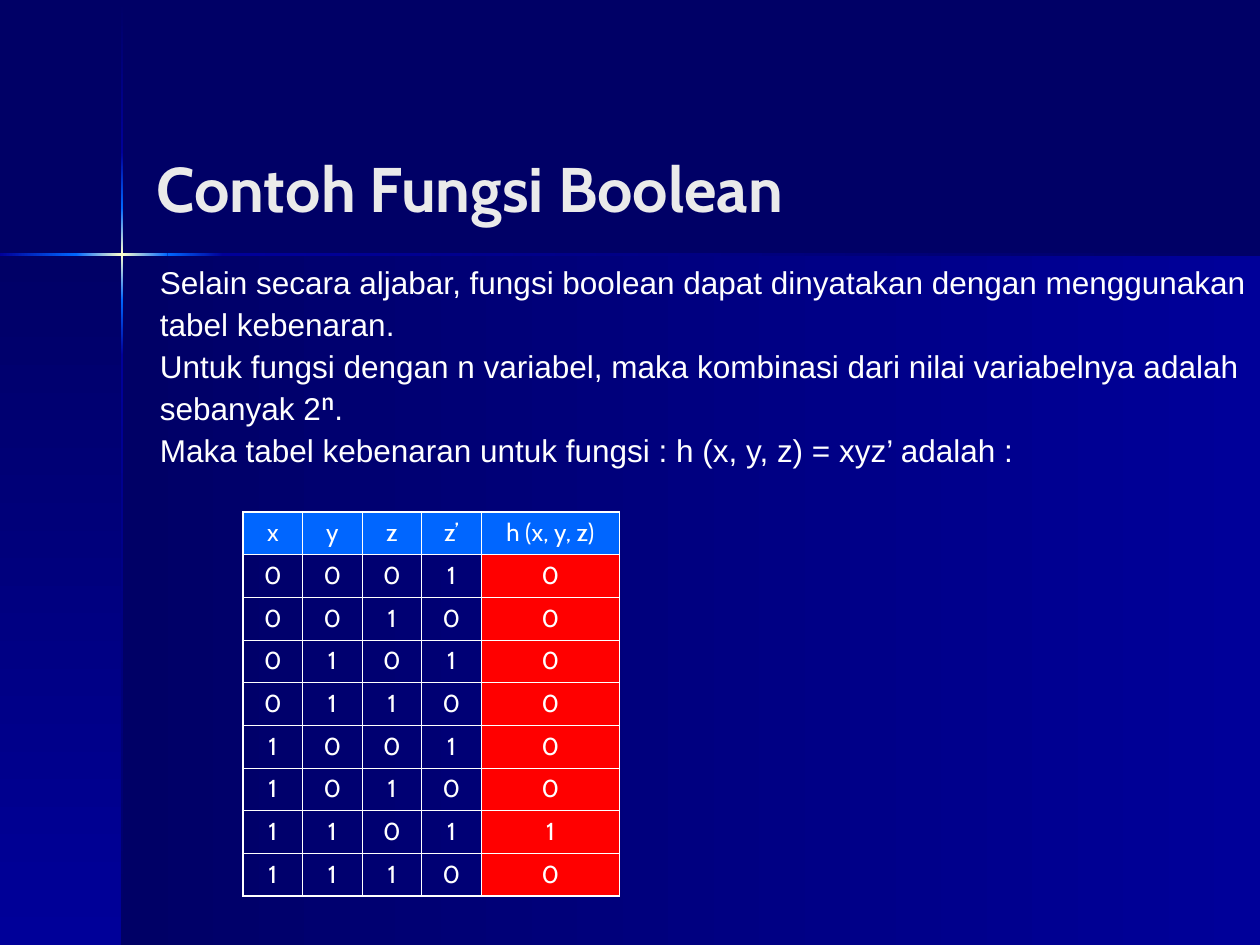
import itertools

import lxml.etree
import pptx
import pptx.dml.color
import pptx.enum.shapes
import pptx.enum.text
import pptx.oxml.ns
import pptx.util

Cm = pptx.util.Cm
Pt = pptx.util.Pt
RGBColor = pptx.dml.color.RGBColor
qn = pptx.oxml.ns.qn

NAVY = RGBColor(0x00, 0x00, 0x66)
BLUE = RGBColor(0x00, 0x00, 0x99)
BRIGHT = RGBColor(0x00, 0x66, 0xFF)
CREAM = RGBColor(0xFF, 0xFF, 0xCC)
RED = RGBColor(0xFF, 0x00, 0x00)
WHITE = RGBColor(0xFF, 0xFF, 0xFF)
LIGHT_GREY = RGBColor(0xEA, 0xEA, 0xEA)

RIGHTWARD, DOWNWARD = 0, 270
RAY_COLORS = [(NAVY, BLUE), (BLUE, BRIGHT), (BRIGHT, CREAM, BRIGHT),
              (BRIGHT, BLUE), (BLUE, NAVY)]
RAY_WIDTH = 0.05
VERTICAL_STOPS = [0.03, 3.07, 4.19, 6.05, 7.16, 19.05]
HORIZONTAL_STOPS = [0, 1.53, 3.38, 4.5, 25.4]

BODY_LINES = [
    ["Selain secara aljabar, fungsi boolean dapat dinyatakan dengan menggunakan"],
    ["tabel kebenaran."],
    ["Untuk fungsi dengan n variabel, maka kombinasi dari nilai variabelnya adalah"],
    ["sebanyak 2", "ⁿ", "."],
    ["Maka tabel kebenaran untuk fungsi : h (x, y, z) = xyz’ adalah :"],
]


def apply_format(target, values):
    for name, value in values.items():
        setattr(target, name, value)


class SlideBuilder:
    title_font = {"name": "Cabin", "size": Pt(36), "bold": True}
    body_font = {"name": "Arial", "size": Pt(18)}
    cell_font = {"name": "Cabin", "size": Pt(14)}
    thin, thick = Pt(0.45), Pt(1.08)

    def __init__(self, presentation):
        self.slide = presentation.slides.add_slide(presentation.slide_layouts[1])
        fill = self.slide.background.fill
        fill.solid()
        fill.fore_color.rgb = NAVY
        self.backdrop = self.slide.shapes.add_group_shape()
        # The backdrop lies behind the placeholders.
        self.slide.shapes._spTree.insert(2, self.backdrop._element)

    def gradient_bar(self, left, top, width, height, colors, angle):
        shape = self.backdrop.shapes.add_shape(
            pptx.enum.shapes.MSO_SHAPE.RECTANGLE,
            Cm(left), Cm(top), Cm(width), Cm(height))
        shape.shadow.inherit = False
        shape.line.fill.background()
        shape.fill.gradient()
        shape.fill.gradient_angle = angle
        stop_list = shape._element.spPr.find(".//" + qn("a:gsLst"))
        for stop in list(stop_list):
            stop_list.remove(stop)
        for index, color in enumerate(colors):
            position = 100000 * index // (len(colors) - 1)
            stop = lxml.etree.SubElement(stop_list, qn("a:gs"), pos=str(position))
            lxml.etree.SubElement(stop, qn("a:srgbClr"), val=str(color))

    def place(self, shape, left, top, width, height):
        apply_format(shape, {"left": Cm(left), "top": Cm(top),
                             "width": Cm(width), "height": Cm(height)})
        shape.text_frame.auto_size = pptx.enum.text.MSO_AUTO_SIZE.NONE
        shape.text_frame.word_wrap = True

    def title(self, text, *box):
        shape = self.slide.shapes.title
        self.place(shape, *box)
        shape.text_frame.vertical_anchor = pptx.enum.text.MSO_ANCHOR.MIDDLE
        paragraph = shape.text_frame.paragraphs[0]
        paragraph.text = text
        paragraph.alignment = pptx.enum.text.PP_ALIGN.LEFT
        apply_format(paragraph.runs[0].font, self.title_font)
        paragraph.runs[0].font.color.rgb = LIGHT_GREY

    def body(self, lines, *box):
        shape = self.slide.placeholders[1]
        self.place(shape, *box)
        frame = shape.text_frame
        frame.margin_right = 0
        for index, line in enumerate(lines):
            paragraph = frame.add_paragraph() if index else frame.paragraphs[0]
            apply_format(paragraph, {"line_spacing": 0.9,
                                     "space_before": Pt(4.5 if index else 0)})
            properties = paragraph._p.get_or_add_pPr()
            properties.set("marL", str(Cm(1.7)))
            properties.set("indent", str(-Cm(1.7)))
            lxml.etree.SubElement(properties, qn("a:buNone"))
            for text in line:
                run = paragraph.add_run()
                run.text = text
                apply_format(run.font, self.body_font)
                run.font.color.rgb = WHITE
                if text == "ⁿ":
                    run.font.name = "Roboto"

    def border(self, cell, side, width):
        line = lxml.etree.SubElement(
            cell._tc.get_or_add_tcPr(), qn("a:ln" + side), w=str(width))
        fill = lxml.etree.SubElement(line, qn("a:solidFill"))
        lxml.etree.SubElement(fill, qn("a:srgbClr"), val=str(WHITE))

    def cell_fill(self, cell, color):
        """Tint the cell at half strength, or leave it clear without a color."""
        if color is None:
            cell.fill.background()
            return
        cell.fill.solid()
        cell.fill.fore_color.rgb = color
        color_element = cell._tc.tcPr.find(".//" + qn("a:srgbClr"))
        lxml.etree.SubElement(color_element, qn("a:alpha"), val="50000")

    def table(self, rows, left, top, column_widths, row_height):
        last_row, last_column = len(rows) - 1, len(column_widths) - 1
        table = self.slide.shapes.add_table(
            len(rows), len(column_widths), Cm(left), Cm(top),
            Cm(sum(column_widths)), Cm(row_height * len(rows))).table
        apply_format(table, {"first_row": False, "horz_banding": False})
        for column, width in zip(table.columns, column_widths):
            column.width = Cm(width)
        for row_index, values in enumerate(rows):
            table.rows[row_index].height = Cm(row_height)
            for column_index, value in enumerate(values):
                cell = table.cell(row_index, column_index)
                outer_sides = {"L": column_index == 0, "R": column_index == last_column,
                               "T": row_index == 0, "B": row_index == last_row}
                for side, is_outer in outer_sides.items():
                    self.border(cell, side, self.thick if is_outer else self.thin)
                result_color = RED if column_index == last_column else None
                self.cell_fill(cell, BRIGHT if row_index == 0 else result_color)
                paragraph = cell.text_frame.paragraphs[0]
                paragraph.text = str(value)
                paragraph.alignment = pptx.enum.text.PP_ALIGN.CENTER
                apply_format(paragraph.runs[0].font, self.cell_font)
                paragraph.runs[0].font.color.rgb = WHITE


def main():
    presentation = pptx.Presentation()
    apply_format(presentation, {"slide_width": Cm(25.4), "slide_height": Cm(19.05)})
    builder = SlideBuilder(presentation)

    builder.gradient_bar(2.46, 5.13, 22.94, 13.92, (NAVY, BLUE), RIGHTWARD)
    builder.gradient_bar(0, 5.13, 2.46, 13.92, (NAVY, BLUE), DOWNWARD)
    for (start, end), colors in zip(itertools.pairwise(VERTICAL_STOPS), RAY_COLORS):
        builder.gradient_bar(2.44, start, RAY_WIDTH, end - start, colors, DOWNWARD)
    for (start, end), colors in zip(itertools.pairwise(HORIZONTAL_STOPS), RAY_COLORS[1:]):
        builder.gradient_bar(start, 5.11, end - start, RAY_WIDTH, colors, RIGHTWARD)

    builder.title("Contoh Fungsi Boolean", 2.9, 2.92, 20.95, 1.7)
    builder.body(BODY_LINES, 2.97, 5.26, 22.43, 4.67)
    truth_rows = [(x, y, z, 1 - z, x * y * (1 - z))
                  for x, y, z in itertools.product((0, 1), repeat=3)]
    builder.table([("x", "y", "z", "z’", "h (x, y, z)"), *truth_rows],
                  4.9, 10.32, [1.2] * 4 + [2.79], 0.86)
    presentation.save("out.pptx")


if __name__ == "__main__":
    main()
